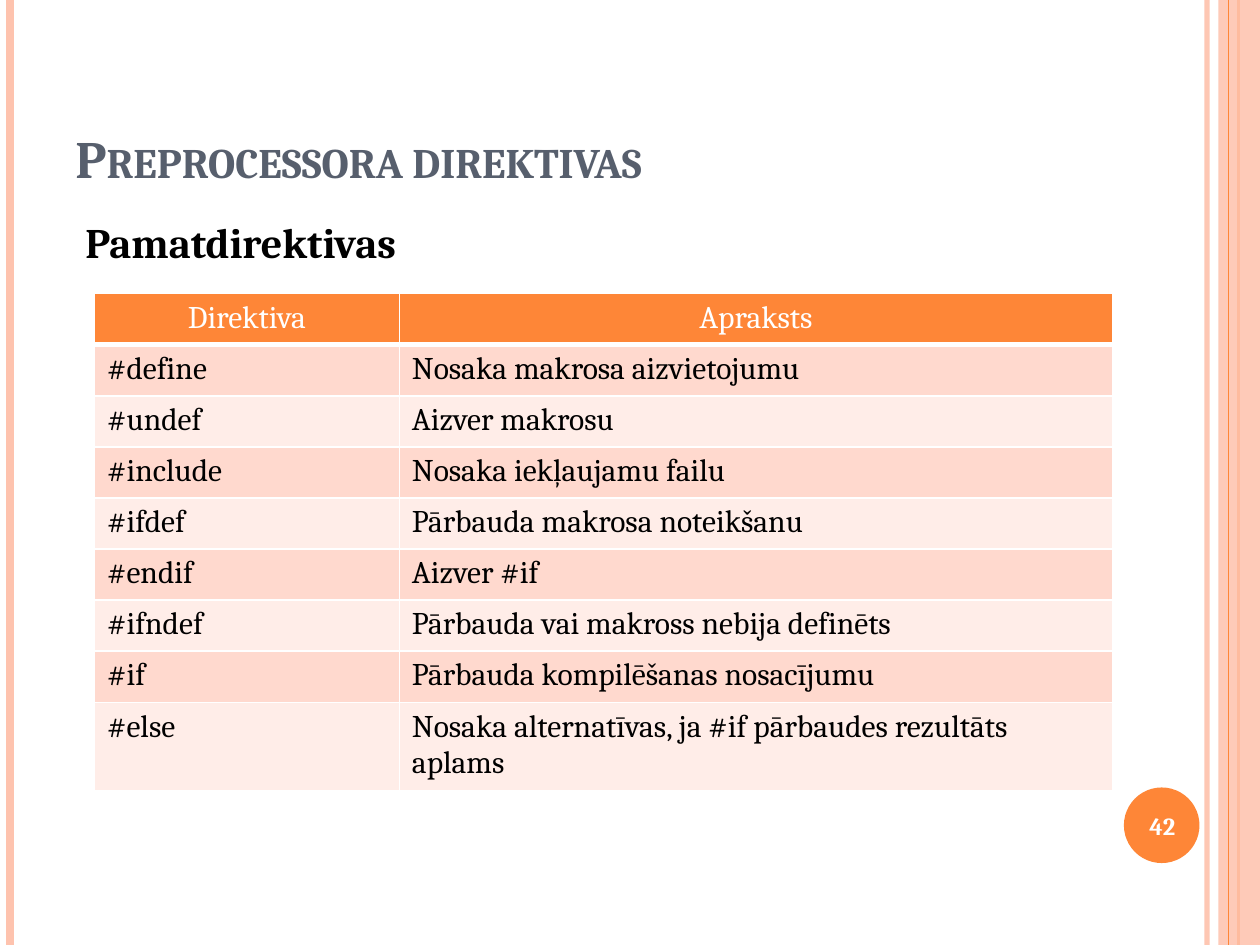
from dataclasses import dataclass

from lxml import etree
from pptx import Presentation
from pptx.dml.color import RGBColor
from pptx.enum import shapes, text
from pptx.oxml import ns
from pptx.util import Inches, Pt


@dataclass(frozen=True)
class Theme:
    font: str = "Cambria"
    accent: str = "FE8637"
    pale: str = "FEC3AE"
    heading: str = "575F6D"
    ink: str = "000000"
    white: str = "FFFFFF"
    bands: tuple = ("FFD9CE", "FFEDE8")
    title_size: int = 30
    subtitle_size: int = 24
    table_size: int = 18
    number_size: int = 14


THEME = Theme()

DIRECTIVES = [
    ("Direktiva", "Apraksts"),
    ("#define", "Nosaka makrosa aizvietojumu"),
    ("#undef", "Aizver makrosu"),
    ("#include", "Nosaka iekļaujamu failu"),
    ("#ifdef", "Pārbauda makrosa noteikšanu"),
    ("#endif", "Aizver #if"),
    ("#ifndef", "Pārbauda vai makross nebija definēts"),
    ("#if", "Pārbauda kompilēšanas nosacījumu"),
    ("#else", "Nosaka alternatīvas, ja #if pārbaudes rezultāts aplams"),
]


def add_xml(parent, tag, **attributes):
    return etree.SubElement(parent, ns.qn(tag), **attributes)


def set_color(color_owner, color, alpha=None):
    """Make a fill solid, with an optional opacity in percent."""
    color_owner.solid()
    color_owner.fore_color.rgb = RGBColor.from_string(color)
    if alpha is not None:
        solid = color_owner._xPr.find(ns.qn("a:solidFill"))
        add_xml(solid[0], "a:alpha", val=str(alpha * 1000))


def write(frame, words, *, size, color, bold=False, small_caps=False,
          align=text.PP_ALIGN.LEFT, anchor=text.MSO_ANCHOR.TOP):
    frame.word_wrap = True
    frame.vertical_anchor = anchor
    paragraph = frame.paragraphs[0]
    paragraph.alignment = align
    run = paragraph.add_run()
    run.text = words
    run.font.name = THEME.font
    run.font.size = Pt(size)
    run.font.bold = bold
    run.font.color.rgb = RGBColor.from_string(color)
    if small_caps:
        run._r.get_or_add_rPr().set("cap", "small")


def add_text(slide, box, words, **style):
    frame = slide.shapes.add_textbox(*map(Inches, box)).text_frame
    write(frame, words, **style)


def add_filled(slide, preset, box, color, alpha=None):
    shape = slide.shapes.add_shape(preset, *map(Inches, box))
    shape.shadow.inherit = False
    set_color(shape.fill, color, alpha)
    shape.line.fill.background()


def add_stripe(slide, x, top, height, color, width, alpha=None):
    stripe = slide.shapes.add_connector(
        shapes.MSO_CONNECTOR.STRAIGHT,
        *map(Inches, (x, top, x, top + height)))
    stripe.line.width = Pt(width)
    set_color(stripe.line.fill, color, alpha)
    add_xml(stripe._element.spPr, "a:effectLst")


def add_side_bands(slide, box):
    left, top, width, height = box
    right = left + width
    add_stripe(slide, right - 0.42, top, height, THEME.pale, 3, alpha=93)
    add_stripe(slide, left + 0.08, top, height, THEME.pale, 4.5)
    add_stripe(slide, right - 0.17, top, height, THEME.accent, 1.5)
    add_filled(slide, shapes.MSO_SHAPE.RECTANGLE,
               (right - 0.33, top, 0.33, height), THEME.pale, alpha=87)
    add_stripe(slide, right - 0.25, top, height, THEME.accent, 0.75)


def add_page_number(slide, box, number):
    left, top, width, height = box
    add_filled(slide, shapes.MSO_SHAPE.OVAL, box, THEME.accent)
    add_text(slide, (left - 0.03, top + 0.02, width + 0.07, height - 0.03),
             number, size=THEME.number_size, color=THEME.white, bold=True,
             align=text.PP_ALIGN.CENTER, anchor=text.MSO_ANCHOR.MIDDLE)


def add_borders(cell, bottom):
    properties = cell._tc.get_or_add_tcPr()
    for side, width in (("L", 1), ("R", 1), ("T", 1), ("B", bottom)):
        border = add_xml(properties, f"a:ln{side}", w=str(Pt(width)))
        add_xml(add_xml(border, "a:solidFill"), "a:srgbClr", val=THEME.white)


def add_directive_table(slide, box, rows, column_widths):
    table = slide.shapes.add_table(
        len(rows), len(column_widths), *map(Inches, box)).table
    for column, width in zip(table.columns, column_widths):
        column.width = Inches(width)
    for r, row in enumerate(rows):
        header = r == 0
        fill = THEME.accent if header else THEME.bands[(r - 1) % 2]
        for c, words in enumerate(row):
            cell = table.cell(r, c)
            add_borders(cell, bottom=3 if header else 1)
            set_color(cell.fill, fill)
            write(cell.text_frame, words, size=THEME.table_size,
                  color=THEME.white if header else THEME.ink,
                  align=text.PP_ALIGN.CENTER if header
                  else text.PP_ALIGN.LEFT)


def main():
    deck = Presentation()
    deck.slide_width, deck.slide_height = Inches(10), Inches(7.5)
    slide = deck.slides.add_slide(deck.slide_layouts[6])

    # Decoration and page number
    add_side_bands(slide, (0, 0, 10, 7.5))
    add_page_number(slide, (8.92, 6.25, 0.6, 0.6), "42")

    # Headings
    add_text(slide, (0.5, 0.3, 9.15, 1.25), "Preprocessora direktivas",
             size=THEME.title_size, color=THEME.heading, bold=True,
             small_caps=True, anchor=text.MSO_ANCHOR.BOTTOM)
    add_text(slide, (0.58, 1.67, 8.58, 0.5), "Pamatdirektivas",
             size=THEME.subtitle_size, color=THEME.ink, bold=True,
             align=text.PP_ALIGN.JUSTIFY)

    # Directives; the last row grows to hold two lines
    add_directive_table(slide, (0.75, 2.33, 8.08, 3.65), DIRECTIVES,
                        (2.42, 5.66))

    deck.save("out.pptx")


if __name__ == "__main__":
    main()
